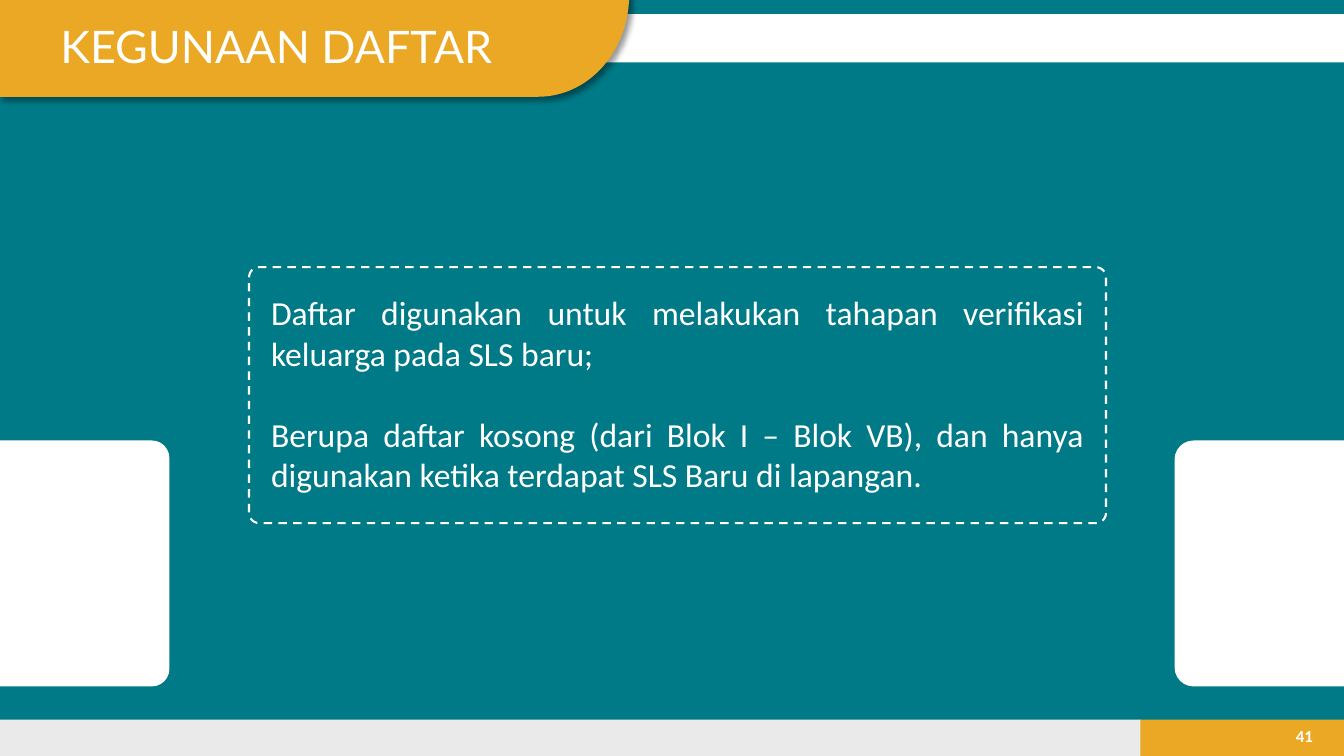
import math
from dataclasses import dataclass
from typing import Optional

import lxml.etree
import pptx
import pptx.dml.color
import pptx.enum.dml
import pptx.enum.shapes
import pptx.enum.text
import pptx.oxml
import pptx.oxml.ns
import pptx.util

Inches = pptx.util.Inches
Pt = pptx.util.Pt
MSO = pptx.enum.shapes.MSO_SHAPE
ALIGN = pptx.enum.text.PP_ALIGN
ANCHOR = pptx.enum.text.MSO_ANCHOR


@dataclass(frozen=True)
class Theme:
    teal: str = "017A87"
    amber: str = "EAA824"
    grey: str = "EAEAEA"
    white: str = "FFFFFF"
    title_font: str = "Lato"
    body_font: str = "Calibri"
    title_size: int = 32
    body_size: int = 24
    number_size: int = 12
    paragraph_gap: int = 29


@dataclass(frozen=True)
class Box:
    left: float
    top: float
    width: float
    height: float
    fill: Optional[str] = None
    corner: Optional[float] = None
    dashed: Optional[str] = None


THEME = Theme()
BARS = [
    Box(11.3, 7.14, 2.03, 0.36, THEME.amber),
    Box(-0.01, 7.14, 11.32, 0.36, THEME.grey),
    Box(5.05, 0.14, 8.28, 0.48, THEME.white),
]
PANELS = [
    Box(-0.34, 4.37, 2.02, 2.44, THEME.white, 0.086),
    Box(11.65, 4.37, 2.07, 2.44, THEME.white, 0.091),
    Box(2.47, 2.65, 8.5, 2.54, corner=0.04, dashed=THEME.white),
]
TITLE_TAB = Box(-0.01, -0.05, 6.25, 1.01, THEME.amber)
USES = [
    "Daftar digunakan untuk melakukan tahapan verifikasi keluarga pada SLS baru;",
    "Berupa daftar kosong (dari Blok I – Blok VB), dan hanya digunakan "
    "ketika terdapat SLS Baru di lapangan.",
]


def rgb(value: str) -> pptx.dml.color.RGBColor:
    return pptx.dml.color.RGBColor.from_string(value)


def add_box(s, box: Box) -> None:
    kind = MSO.RECTANGLE if box.corner is None else MSO.ROUNDED_RECTANGLE
    sp = s.shapes.add_shape(kind, Inches(box.left), Inches(box.top),
                            Inches(box.width), Inches(box.height))
    sp.shadow.inherit = False
    if box.corner is not None:
        sp.adjustments[0] = box.corner
    if box.fill:
        sp.fill.solid()
        sp.fill.fore_color.rgb = rgb(box.fill)
    else:
        sp.fill.background()
    if box.dashed:
        sp.line.color.rgb = rgb(box.dashed)
        sp.line.width = Pt(1.5)
        sp.line.dash_style = pptx.enum.dml.MSO_LINE.DASH
    else:
        sp.line.fill.background()


def add_title_tab(s, box: Box, corner_width: float = 0.9, steps: int = 32) -> None:
    """Draw a tab whose lower right corner is a quarter ellipse, with a soft shadow."""
    right, bottom = box.left + box.width, box.top + box.height
    angles = [math.pi / 2 * i / steps for i in range(steps + 1)]
    curve = [(right - corner_width * (1 - math.cos(a)), box.top + box.height * math.sin(a))
             for a in angles]
    points = [(Inches(x), Inches(y)) for x, y in [*curve, (box.left, bottom)]]
    outline = s.shapes.build_freeform(Inches(box.left), Inches(box.top))
    outline.add_line_segments(points, close=True)
    sp = outline.convert_to_shape()
    sp.fill.solid()
    sp.fill.fore_color.rgb = rgb(box.fill)
    sp.line.fill.background()
    sp.shadow.inherit = False
    effects = sp.fill._xPr.find(pptx.oxml.ns.qn("a:effectLst"))
    effects.append(pptx.oxml.parse_xml(
        f'<a:outerShdw {pptx.oxml.ns.nsdecls("a")} blurRad="{Pt(4)}" dist="{Pt(3)}" '
        'dir="2700000" algn="tl" rotWithShape="0"><a:srgbClr val="000000">'
        '<a:alpha val="40000"/></a:srgbClr></a:outerShdw>'))


def add_text(s, box: Box, paragraphs: list[str], *, font: str, size: int,
             align: ALIGN = ALIGN.LEFT, anchor: ANCHOR = ANCHOR.TOP,
             bold: bool = False, gap: int = 0) -> None:
    tf = s.shapes.add_textbox(Inches(box.left), Inches(box.top),
                              Inches(box.width), Inches(box.height)).text_frame
    tf.word_wrap = True
    tf.vertical_anchor = anchor
    for i, text in enumerate(paragraphs):
        p = tf.add_paragraph() if i else tf.paragraphs[0]
        p.alignment = align
        if i:
            p.space_before = Pt(gap)
        r = p.add_run()
        r.text = text
        r.font.name = font
        r.font.size = Pt(size)
        r.font.bold = bold
        r.font.color.rgb = rgb(THEME.white)


def main() -> None:
    prs = pptx.Presentation()
    prs.slide_width, prs.slide_height = Inches(13.33), Inches(7.5)
    s = prs.slides.add_slide(prs.slide_layouts[6])
    s.background.fill.solid()
    s.background.fill.fore_color.rgb = rgb(THEME.teal)

    for bar in BARS:
        add_box(s, bar)
    add_title_tab(s, TITLE_TAB)
    add_text(s, Box(12.65, 7.1, 0.47, 0.4), ["41"], font=THEME.body_font,
             size=THEME.number_size, align=ALIGN.RIGHT, anchor=ANCHOR.MIDDLE, bold=True)
    add_text(s, Box(0.5, 0.14, 4.72, 0.64), ["KEGUNAAN DAFTAR"],
             font=THEME.title_font, size=THEME.title_size)
    for panel in PANELS:
        add_box(s, panel)
    add_text(s, Box(2.59, 2.85, 8.26, 2.52), USES, font=THEME.body_font,
             size=THEME.body_size, align=ALIGN.JUSTIFY, gap=THEME.paragraph_gap)
    prs.save("out.pptx")


if __name__ == "__main__":
    main()
